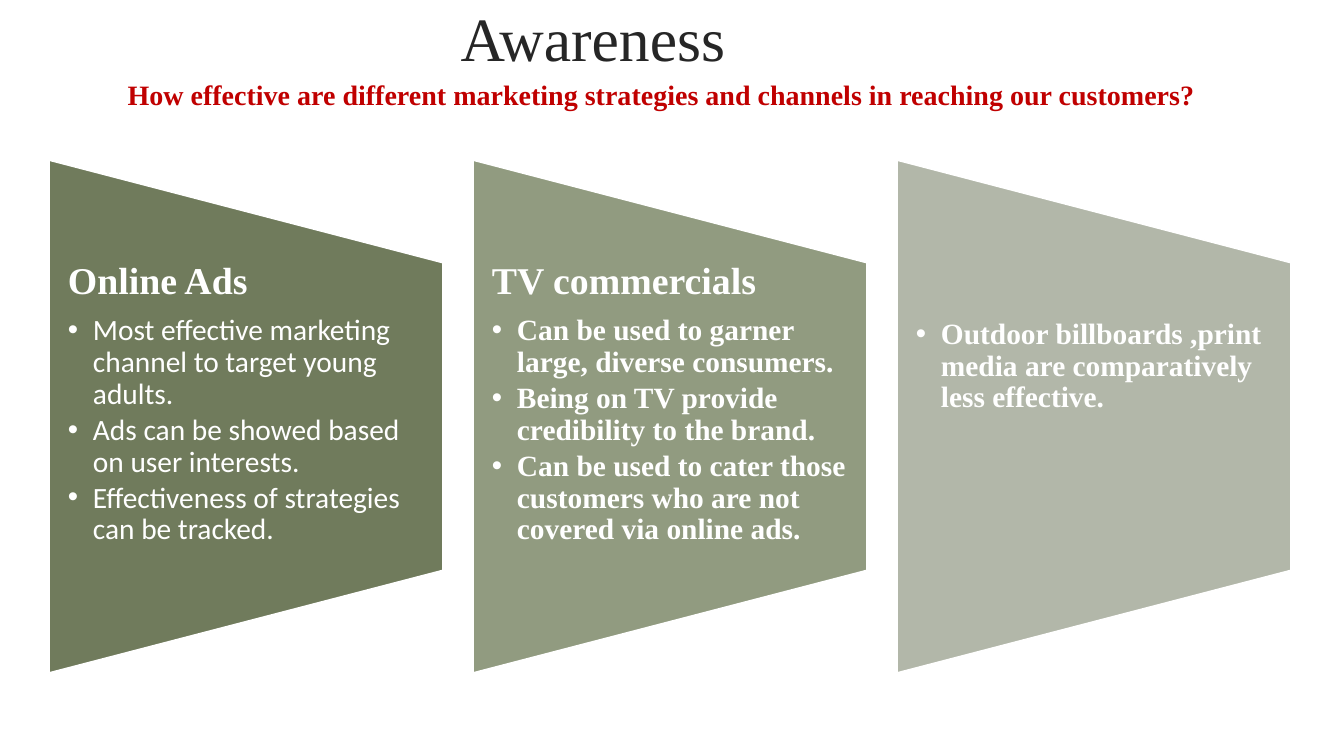
from dataclasses import dataclass
from typing import NamedTuple

from lxml.etree import SubElement
from pptx import Presentation
from pptx.dml.color import RGBColor
from pptx.enum.shapes import MSO_SHAPE as Shape
from pptx.enum.text import MSO_ANCHOR as Anchor, MSO_AUTO_SIZE as AutoSize, PP_ALIGN as Align
from pptx.oxml.ns import qn
from pptx.util import Pt

EMU_PER_PX = 914400 / 100.8


@dataclass(frozen=True)
class Theme:
    serif: str = "Times New Roman"
    sans: str = "Calibri"
    ink: str = "262626"
    accent: str = "C00000"
    white: str = "FFFFFF"
    panels: tuple = ("707B5C", "919B80", "B2B7A9")
    title_size: int = 44
    question_size: int = 20
    heading_size: int = 27
    item_size: int = 21
    outline: float = 1.25


class Box(NamedTuple):
    left: int
    top: int
    width: int
    height: int


class Channel(NamedTuple):
    heading: str
    items: tuple
    font: str
    bold: bool
    inset_top: int


THEME = Theme()
CHANNELS = (
    Channel("Online Ads", (
        "Most effective marketing channel to target young adults.",
        "Ads can be showed based on user interests.",
        "Effectiveness of strategies can be tracked.",
    ), THEME.sans, False, 0),
    Channel("TV commercials", (
        "Can be used to garner large, diverse consumers.",
        "Being on TV provide credibility to the brand.",
        "Can be used to cater those customers who are not covered via online ads.",
    ), THEME.serif, True, 0),
    Channel("", (
        "Outdoor billboards ,print media are comparatively less effective.",
    ), THEME.serif, True, 57),
)


def px(length):
    return round(length * EMU_PER_PX)


def apply(target, **values):
    for name, value in values.items():
        setattr(target, name, value)


def place(shape, box):
    apply(shape, **{name: px(length) for name, length in box._asdict().items()})


def set_frame(frame, side=0, top=0, anchor=Anchor.TOP):
    apply(frame, word_wrap=True, auto_size=AutoSize.NONE, vertical_anchor=anchor,
          margin_left=px(side), margin_right=px(side), margin_top=px(top), margin_bottom=0)


def set_bullet(para, char=None, indent=0):
    props = para._p.get_or_add_pPr()
    props.set("marL", str(px(indent)))
    props.set("indent", str(-px(indent)))
    if char:
        SubElement(props, qn("a:buFont"), typeface="Arial")
        SubElement(props, qn("a:buChar"), char=char)
    else:
        SubElement(props, qn("a:buNone"))


def write(para, text, size, color, name, bold, **layout):
    span = para.add_run()
    span.text = text
    apply(span.font, size=Pt(size), name=name, bold=bold)
    span.font.color.rgb = RGBColor.from_string(color)
    apply(para, space_before=Pt(0), **layout)


def fill_title(holder, box):
    place(holder, box)
    set_frame(holder.text_frame)
    write(holder.text_frame.paragraphs[0], "Awareness", THEME.title_size, THEME.ink,
          THEME.serif, False, alignment=Align.CENTER)


def fill_question(holder, box):
    place(holder, box)
    set_frame(holder.text_frame, side=10, top=7)
    para = holder.text_frame.paragraphs[0]
    set_bullet(para)
    write(para, "How effective are different marketing strategies and channels in reaching our customers?",
          THEME.question_size, THEME.accent, THEME.serif, True, alignment=Align.CENTER)


def add_panel(page, box, color):
    """Draw a trapezoid turned a quarter left so that it fills the box."""
    shift = (box.height - box.width) / 2
    turned = Box(box.left - shift, box.top + shift, box.height, box.width)
    panel = page.shapes.add_shape(Shape.FLOWCHART_MANUAL_OPERATION, *map(px, turned))
    panel.rotation = 270
    panel.shadow.inherit = False
    panel.fill.solid()
    panel.fill.fore_color.rgb = RGBColor.from_string(color)
    panel.line.color.rgb = RGBColor.from_string(THEME.white)
    panel.line.width = Pt(THEME.outline)


def add_channel(page, box, channel, color):
    add_panel(page, box, color)
    text_box = Box(box.left, box.top + box.height // 5, box.width, box.height * 3 // 5)
    frame = page.shapes.add_textbox(*map(px, text_box)).text_frame
    set_frame(frame, side=19, top=channel.inset_top)
    para = frame.paragraphs[0]
    if channel.heading:
        write(para, channel.heading, THEME.heading_size, THEME.white, THEME.serif, True,
              line_spacing=0.9, space_after=Pt(9))
    for index, item in enumerate(channel.items):
        if index or channel.heading:
            para = frame.add_paragraph()
        set_bullet(para, "•", 25)
        write(para, item, THEME.item_size, THEME.white, channel.font, channel.bold,
              level=1, line_spacing=0.9, space_after=Pt(3))


def add_channels(page, box, gap):
    width = (box.width - gap * (len(CHANNELS) - 1)) // len(CHANNELS)
    for index, (channel, color) in enumerate(zip(CHANNELS, THEME.panels)):
        left = box.left + index * (width + gap)
        add_channel(page, Box(left, box.top, width, box.height), channel, color)


def main():
    deck = Presentation()
    apply(deck, slide_width=px(1344), slide_height=px(756))
    page = deck.slides.add_slide(deck.slide_layouts[1])
    fill_title(page.shapes.title, Box(65, 0, 1056, 71))
    fill_question(page.placeholders[1], Box(102, 71, 1119, 77))
    add_channels(page, Box(49, 160, 1242, 513), gap=30)
    deck.save("out.pptx")


if __name__ == "__main__":
    main()
